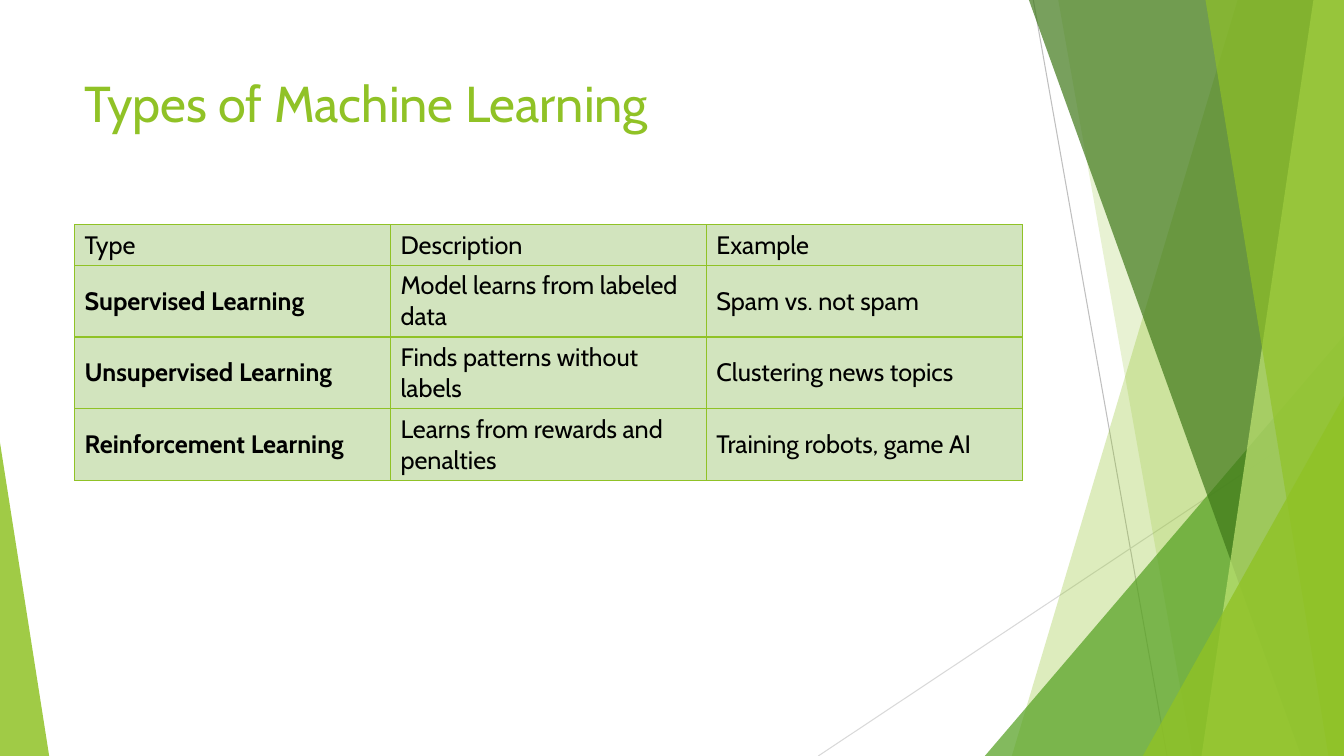
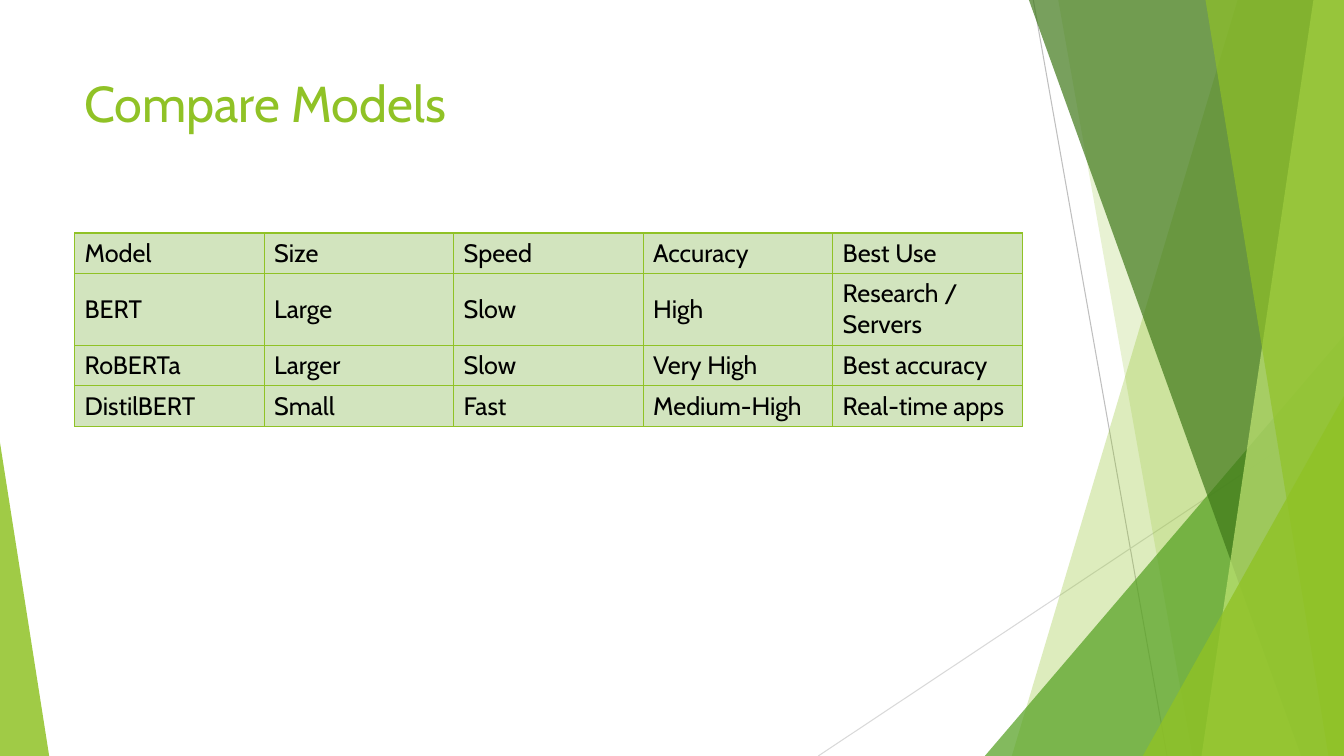
from lxml.etree import SubElement as Sub
from pptx import Presentation as Deck
from pptx.dml.color import RGBColor as RGB
from pptx.enum.shapes import MSO_CONNECTOR as LINK, MSO_SHAPE as KIND
from pptx.enum.text import MSO_ANCHOR as ANCHOR
from pptx.oxml.ns import qn
from pptx.util import Cm, Pt

# Shared look, lengths in cm
WIDE, HIGH = 33.87, 19.05
LEFT, SPAN = 1.88, 23.88
ONE, TWO = 1.02, 1.81  # heights of rows with one and two lines of text
HUES = {
    "lime": "90C226", "green": "54A021", "dark": "3F7819", "pale": "C0E474",
    "cell": "D2E4BE", "text": "000000", "gray": "BFBFBF", "light": "D9D9D9",
}
TITLE = {"name": "Cabin", "size": Pt(36), "bold": False}
BODY = {"name": "Cabin", "size": Pt(18), "bold": False}
PLAIN = {"first_row": False, "horz_banding": False}


def hue(name):
    return RGB.from_string(HUES[name])


def apply(item, values):
    for key, value in values.items():
        setattr(item, key, value)


def write(frame, text, form, color):
    run = frame.paragraphs[0].add_run()
    run.text = text
    apply(run.font, form)
    run.font.color.rgb = hue(color)


# Background pieces
def tint(shape, color, alpha):
    shape.shadow.inherit = False
    shape.fill.solid()
    shape.fill.fore_color.rgb = hue(color)
    shape.line.fill.background()
    tone = next(shape.element.spPr.iter(qn("a:srgbClr")))
    Sub(tone, qn("a:alpha"), val=str(alpha * 1000))


def add_line(slide, ends, color):
    line = slide.shapes.add_connector(LINK.STRAIGHT, *map(Cm, ends))
    line.line.color.rgb = hue(color)
    line.line.width = Pt(0.75)
    Sub(line.element.spPr, qn("a:effectLst"))


def add_band(slide, top, base, color, alpha):
    """Fill from a slanted edge to the right side of the slide."""
    edge = [(Cm(WIDE), 0), (Cm(WIDE), Cm(HIGH)), (Cm(base), Cm(HIGH))]
    pen = slide.shapes.build_freeform(Cm(top), 0)
    pen.add_line_segments(edge, close=True)
    tint(pen.convert_to_shape(), color, alpha)


def add_wedge(slide, left, top, width, peak, color, alpha):
    """Stand a triangle on the bottom edge; peak 0 is left, 1 is right."""
    box = map(Cm, (left, top, width, HIGH - top))
    shape = slide.shapes.add_shape(KIND.ISOSCELES_TRIANGLE, *box)
    shape.adjustments[0] = peak
    tint(shape, color, alpha)


def add_decor(slide):
    add_line(slide, (26.04, 0, 29.41, HIGH), "gray")
    add_line(slide, (WIDE, 10.24, 20.62, HIGH), "light")
    add_band(slide, 31.19, 25.5, "lime", 30)
    add_band(slide, 26.67, 30.05, "lime", 20)
    add_wedge(slide, 24.82, 8.46, WIDE - 24.82, 1, "green", 72)
    add_band(slide, 25.93, 32.79, "dark", 70)
    add_band(slide, 33.1, 30.28, "pale", 70)
    add_band(slide, 30.38, 33.48, "lime", 65)
    add_wedge(slide, 28.8, 9.98, WIDE - 28.8, 1, "lime", 80)
    add_wedge(slide, 0, 11.15, 1.24, 0, "lime", 85)


# Title and table
def add_title(slide, text):
    box = slide.shapes.add_textbox(Cm(LEFT), Cm(1.7), Cm(SPAN), Cm(3.66))
    apply(box.text_frame, {"word_wrap": True, "vertical_anchor": ANCHOR.TOP})
    write(box.text_frame, text, TITLE, "lime")


def add_rules(cell):
    props = cell._tc.get_or_add_tcPr()
    for side in "LRTB":
        rule = Sub(props, qn("a:ln" + side), w=str(Pt(1)))
        fill = Sub(rule, qn("a:solidFill"))
        Sub(fill, qn("a:srgbClr"), val=HUES["lime"])


def add_grid(slide, top, rows, tall, strong):
    cols = len(rows[0])
    box = map(Cm, (LEFT, top, SPAN, sum(tall)))
    grid = slide.shapes.add_table(len(rows), cols, *box).table
    apply(grid, PLAIN)
    for col in grid.columns:
        col.width = Cm(SPAN / cols)
    for r, texts in enumerate(rows):
        grid.rows[r].height = Cm(tall[r])
        for c, text in enumerate(texts):
            cell = grid.cell(r, c)
            cell.vertical_anchor = ANCHOR.MIDDLE
            add_rules(cell)
            cell.fill.solid()
            cell.fill.fore_color.rgb = hue("cell")
            bold = strong and r > 0 and c == 0
            write(cell.text_frame, text, {**BODY, "bold": bold}, "text")


# Content
TYPES = [
    ("Type", "Description", "Example"),
    ("Supervised Learning", "Model learns from labeled data",
     "Spam vs. not spam"),
    ("Unsupervised Learning", "Finds patterns without labels",
     "Clustering news topics"),
    ("Reinforcement Learning", "Learns from rewards and penalties",
     "Training robots, game AI"),
]
MODELS = [
    ("Model", "Size", "Speed", "Accuracy", "Best Use"),
    ("BERT", "Large", "Slow", "High", "Research / Servers"),
    ("RoBERTa", "Larger", "Slow", "Very High", "Best accuracy"),
    ("DistilBERT", "Small", "Fast", "Medium-High", "Real-time apps"),
]
PAGES = [
    ("Types of Machine Learning", 5.66, TYPES, (ONE, TWO, TWO, TWO), True),
    ("Compare Models", 5.87, MODELS, (ONE, TWO, ONE, ONE), False),
]


def main():
    deck = Deck()
    apply(deck, {"slide_width": Cm(WIDE), "slide_height": Cm(HIGH)})
    for title, *table in PAGES:
        slide = deck.slides.add_slide(deck.slide_layouts[6])
        add_decor(slide)
        add_title(slide, title)
        add_grid(slide, *table)
    deck.save("out.pptx")


if __name__ == "__main__":
    main()
